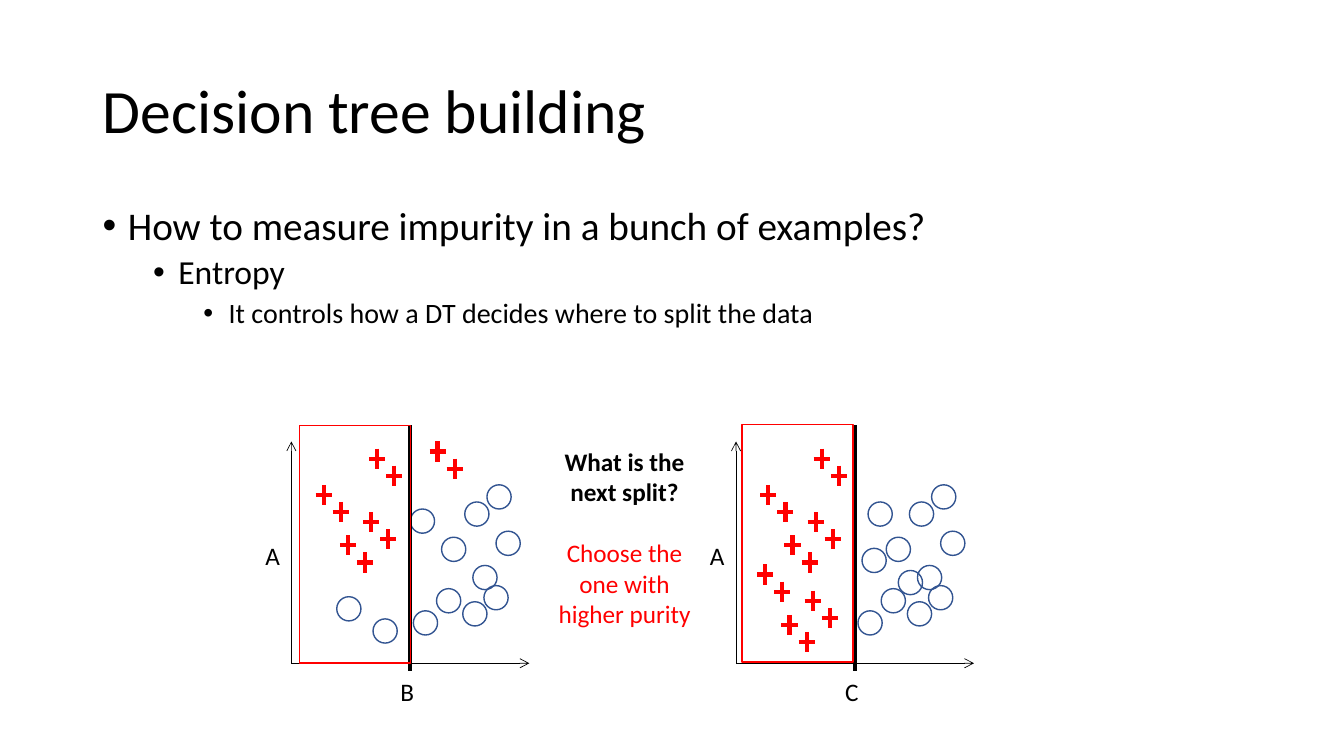
import dataclasses

import lxml.etree
import pptx
import pptx.dml.color
import pptx.enum.shapes
import pptx.enum.text
import pptx.oxml.ns
import pptx.util


@dataclasses.dataclass(frozen=True)
class Theme:
    font: str = "Calibri"
    ink: str = "000000"
    accent: str = "FF0000"
    circle: str = "325491"
    title: int = 44
    levels: tuple = (28, 24, 20)
    label: int = 18
    thin: float = 0.5
    outline: float = 1
    thick: float = 3


class SlideBuilder:
    """Places elements on a grid of equal columns and rows."""

    COLUMNS, ROWS = 1333, 750

    def __init__(self, presentation, theme):
        self.theme = theme
        self.column = presentation.slide_width / self.COLUMNS
        self.row = presentation.slide_height / self.ROWS
        self.slide = presentation.slides.add_slide(presentation.slide_layouts[5])

    def grid(self, *lengths):
        """Turn alternating column and row counts into slide lengths."""
        return [round(n * (self.row if i % 2 else self.column)) for i, n in enumerate(lengths)]

    def add_run(self, paragraph, text, size, color=None, bold=False):
        run = paragraph.add_run()
        run.text = text
        run.font.name = self.theme.font
        run.font.size = pptx.util.Pt(size)
        run.font.bold = bold
        run.font.color.rgb = pptx.dml.color.RGBColor.from_string(color or self.theme.ink)

    def style_line(self, line, color, width):
        line.color.rgb = pptx.dml.color.RGBColor.from_string(color)
        line.width = pptx.util.Pt(width)

    def title(self, text, box):
        heading = self.slide.shapes.title
        heading.left, heading.top, heading.width, heading.height = self.grid(*box)
        frame = heading.text_frame
        frame.auto_size = pptx.enum.text.MSO_AUTO_SIZE.NONE
        frame.vertical_anchor = pptx.enum.text.MSO_ANCHOR.MIDDLE
        paragraph = frame.paragraphs[0]
        paragraph.alignment = pptx.enum.text.PP_ALIGN.LEFT
        paragraph.line_spacing = 0.9
        self.add_run(paragraph, text, self.theme.title)

    def text_frame(self, box, grow=False):
        frame = self.slide.shapes.add_textbox(*self.grid(*box)).text_frame
        frame.word_wrap = True
        if grow:
            frame.auto_size = pptx.enum.text.MSO_AUTO_SIZE.SHAPE_TO_FIT_TEXT
        return frame

    def outline(self, items, box):
        frame = self.text_frame(box)
        hang = pptx.util.Inches(0.25)
        for level, text in enumerate(items):
            paragraph = frame.add_paragraph() if level else frame.paragraphs[0]
            paragraph.level = level
            paragraph.line_spacing = 0.9
            paragraph.space_before = pptx.util.Pt(5 if level else 10)
            properties = paragraph._p.get_or_add_pPr()
            properties.set("marL", str(hang * (2 * level + 1)))
            properties.set("indent", str(-hang))
            lxml.etree.SubElement(properties, pptx.oxml.ns.qn("a:buFont"), typeface="Arial")
            lxml.etree.SubElement(properties, pptx.oxml.ns.qn("a:buChar"), char="•")
            self.add_run(paragraph, text, self.theme.levels[level])

    def label(self, text, left, top):
        frame = self.text_frame((left, top, 16, 40), grow=True)
        self.add_run(frame.paragraphs[0], text, self.theme.label)

    def callout(self, question, answer, box):
        frame = self.text_frame(box, grow=True)
        first, second = frame.paragraphs[0], frame.add_paragraph()
        first.alignment = second.alignment = pptx.enum.text.PP_ALIGN.CENTER
        second.space_before = pptx.util.Pt(22)
        self.add_run(first, question, self.theme.label, bold=True)
        self.add_run(second, answer, self.theme.label, self.theme.accent)

    def line(self, start, end, color, width, arrow=False, shapes=None):
        straight = pptx.enum.shapes.MSO_CONNECTOR.STRAIGHT
        shapes = shapes or self.slide.shapes
        connector = shapes.add_connector(straight, *self.grid(*start, *end))
        self.style_line(connector.line, color, width)
        if arrow:
            lxml.etree.SubElement(
                connector.get_or_add_ln(), pptx.oxml.ns.qn("a:tailEnd"), type="arrow")
        lxml.etree.SubElement(connector.element.spPr, pptx.oxml.ns.qn("a:effectLst"))

    def hollow(self, kind, box, color):
        shape = self.slide.shapes.add_shape(kind, *self.grid(*box))
        shape.shadow.inherit = False
        shape.fill.background()
        self.style_line(shape.line, color, self.theme.outline)

    def circle(self, x, y):
        kind = pptx.enum.shapes.MSO_SHAPE.OVAL
        self.hollow(kind, (x - 12, y - 12, 24, 24), self.theme.circle)

    def plus(self, x, y):
        shapes = self.slide.shapes.add_group_shape().shapes
        for dx, dy in ((0, 10), (8, 0)):
            self.line((x - dx, y - dy), (x + dx, y + dy),
                      self.theme.accent, self.theme.thick, shapes=shapes)

    def scatter(self, left, base, split_name, plus_pairs, circles, region):
        ink = self.theme.ink
        # Axes and their names
        for end in ((left, base - 220), (left + 236, base)):
            self.line((left, base), end, ink, self.theme.thin, arrow=True)
        self.label("A", left - 32, base - 127)
        self.label(split_name, left + 102, base + 8)
        # Examples of both classes
        for right, up in circles:
            self.circle(left + right, base - up)
        for right, up in plus_pairs:
            for step in (0, 17):
                self.plus(left + right + step, base - up + step)
        # Split and the side it cuts off
        self.line((left + 118, base - 236), (left + 118, base + 8), ink, self.theme.thick)
        right, up = region
        self.hollow(pptx.enum.shapes.MSO_SHAPE.RECTANGLE,
                    (left + right, base - up, 110, 236), self.theme.accent)


# Examples as (columns right of, rows above) the origin; pluses by upper one of a pair
SHARED_PLUSES = [(32, 167), (56, 117), (79, 140), (85, 203)]
SHARED_CIRCLES = [(133, 40), (182, 49), (156, 62), (161, 113), (203, 65),
                  (184, 148), (206, 165), (192, 85), (215, 119)]


def main():
    presentation = pptx.Presentation()
    presentation.slide_width = pptx.util.Inches(13.33)
    presentation.slide_height = pptx.util.Inches(7.5)
    builder = SlideBuilder(presentation, Theme())

    # Heading and outline
    builder.title("Decision tree building", (92, 40, 1150, 145))
    builder.outline([
        "How to measure impurity in a bunch of examples?",
        "Entropy",
        "It controls how a DT decides where to split the data",
    ], (92, 200, 1150, 476))

    # Candidate split B: mixed sides
    builder.scatter(289, 658, "B", SHARED_PLUSES + [(145, 210)],
                    SHARED_CIRCLES + [(57, 54), (93, 32), (130, 141)], region=(8, 236))

    # Candidate split C: pure sides
    builder.scatter(730, 658, "C", SHARED_PLUSES + [(29, 88), (53, 38), (76, 62)],
                    SHARED_CIRCLES + [(137, 102), (173, 80), (143, 148)], region=(6, 237))

    # Question between the plots
    builder.callout("What is the next split?", "Choose the one with higher purity",
                    (541, 438, 157, 192))
    presentation.save("out.pptx")


if __name__ == "__main__":
    main()
